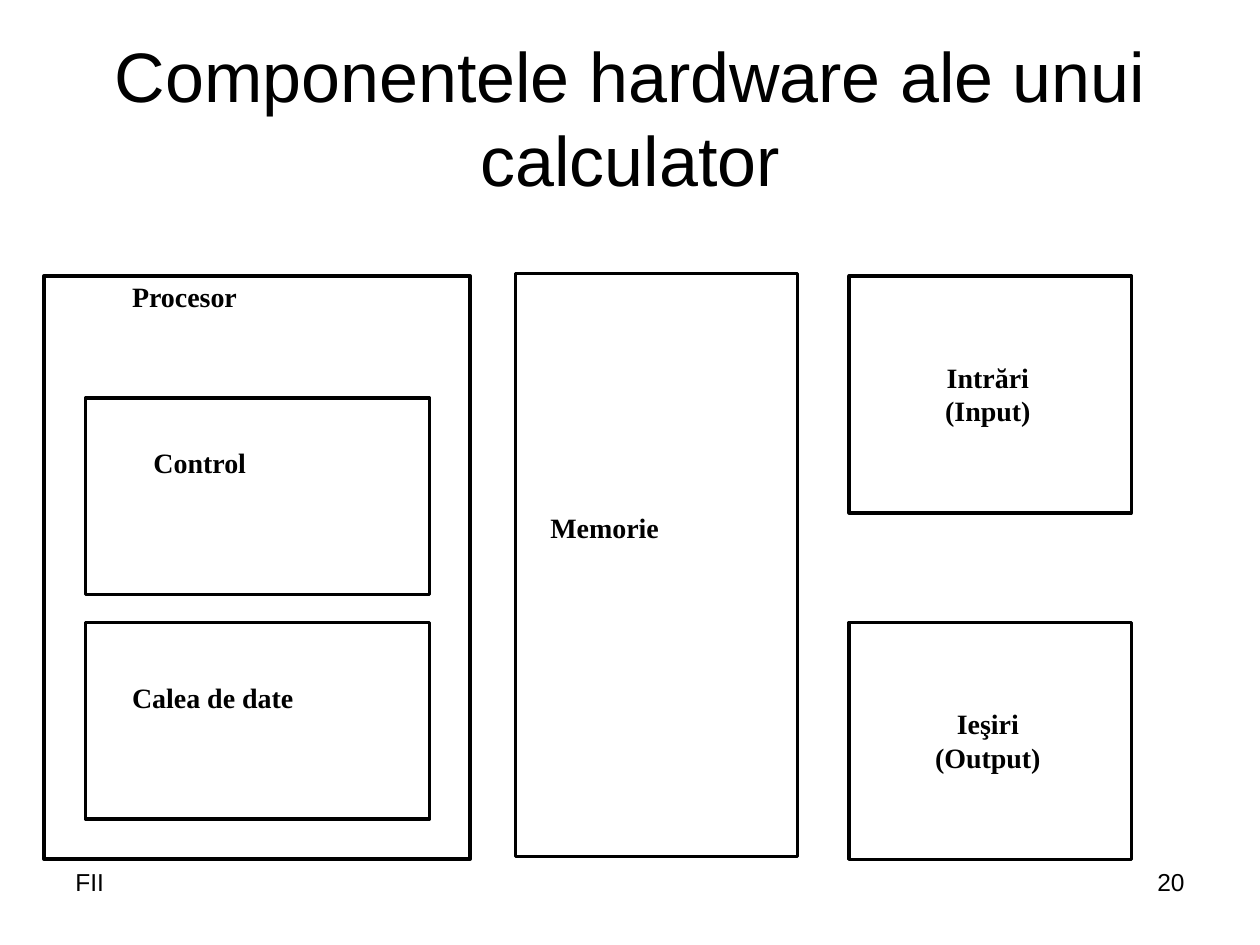
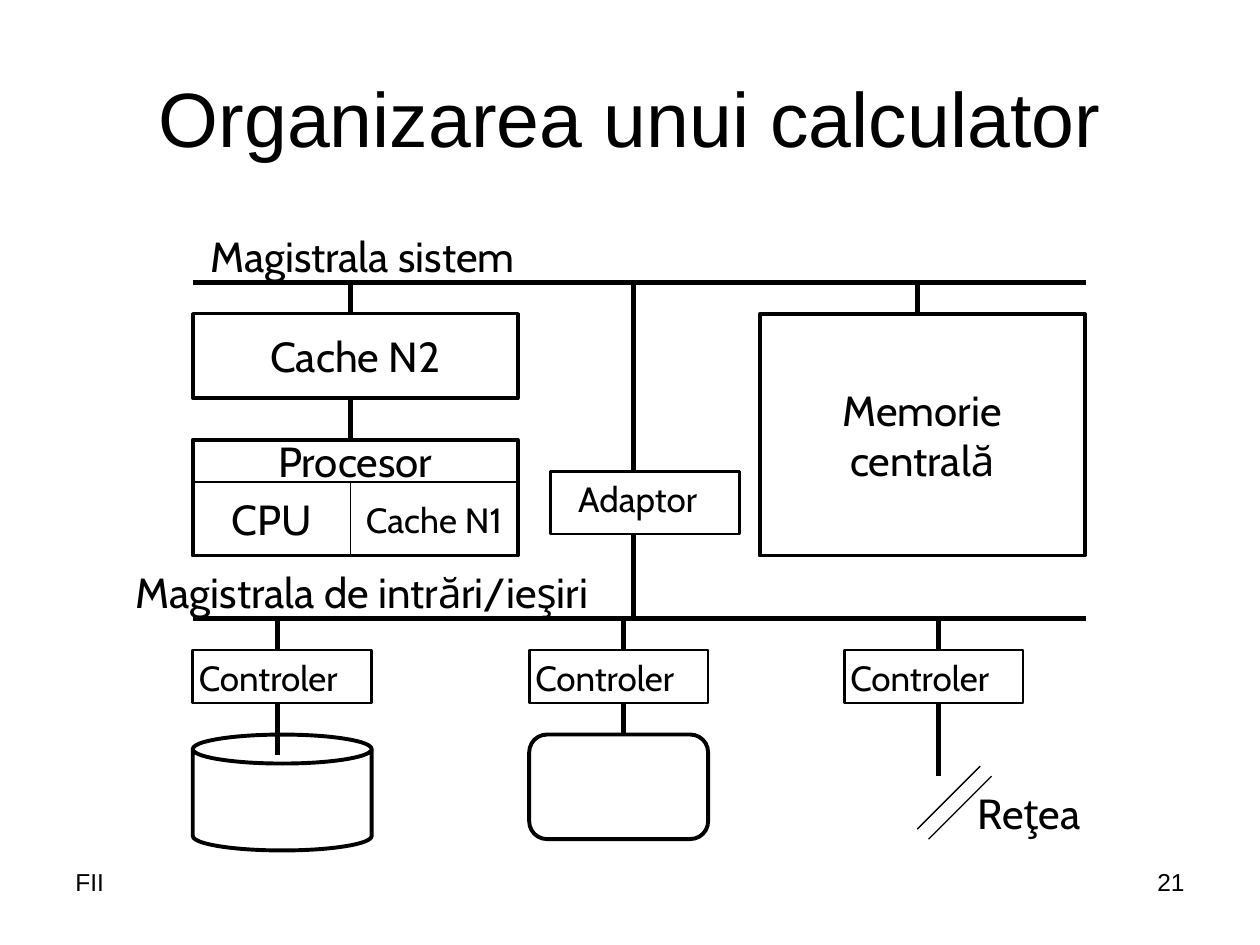
from dataclasses import dataclass

import pptx
import pptx.dml.color
import pptx.enum.shapes
import pptx.enum.text
import pptx.oxml.ns
import pptx.presentation
import pptx.shapes.autoshape
import pptx.slide
import pptx.util
from lxml import etree
from pptx.util import Inches

INK = "000000"
PAPER = "FFFFFF"
TITLE_FONT = "Arial"
COMPONENT_FONT = "Times New Roman"
DIAGRAM_FONT = "Cabin"

ALIGN = pptx.enum.text.PP_ALIGN
ANCHOR = pptx.enum.text.MSO_ANCHOR
SHAPE = pptx.enum.shapes.MSO_SHAPE

FRAME_WIDTH = 2.0
BUS_WIDTH = 3.0
DRUM_WIDTH = 2.25
CONTROLLER_WIDTH = 1.5
THIN_WIDTH = 0.75


@dataclass(frozen=True)
class TextStyle:
    font: str
    size: float
    bold: bool = False
    align: ALIGN = ALIGN.LEFT
    anchor: ANCHOR = ANCHOR.TOP
    wrap: bool = False


@dataclass(frozen=True)
class Area:
    left: float
    top: float
    width: float
    height: float

    def lengths(self) -> list[pptx.util.Length]:
        return [Inches(value) for value in (self.left, self.top, self.width, self.height)]


@dataclass(frozen=True)
class Box:
    area: Area
    line_width: float = FRAME_WIDTH
    text: str = ""
    size: float = 24
    kind: SHAPE = SHAPE.RECTANGLE


@dataclass(frozen=True)
class Label:
    text: str
    area: Area
    style: TextStyle


@dataclass(frozen=True)
class Line:
    x1: float
    y1: float
    x2: float
    y2: float
    width: float = BUS_WIDTH


FOOTER = TextStyle(TITLE_FONT, 14, wrap=True)
PAGE_NUMBER = TextStyle(TITLE_FONT, 14, align=ALIGN.RIGHT, wrap=True)
COMPONENT = TextStyle(COMPONENT_FONT, 16, bold=True)
COMPONENT_CENTRED = TextStyle(COMPONENT_FONT, 16, bold=True, align=ALIGN.CENTER)
DIAGRAM = TextStyle(DIAGRAM_FONT, 24)
DIAGRAM_SMALL = TextStyle(DIAGRAM_FONT, 20)


def rgb(colour: str) -> pptx.dml.color.RGBColor:
    return pptx.dml.color.RGBColor.from_string(colour)


def write_text(shape: pptx.shapes.autoshape.Shape, text: str, style: TextStyle) -> None:
    frame = shape.text_frame
    frame.text = text
    frame.word_wrap = style.wrap
    frame.vertical_anchor = style.anchor
    for paragraph in frame.paragraphs:
        paragraph.alignment = style.align
        for run in paragraph.runs:
            run.font.name = style.font
            run.font.size = pptx.util.Pt(style.size)
            run.font.bold = style.bold
            run.font.color.rgb = rgb(INK)


def add_label(slide: pptx.slide.Slide, label: Label) -> None:
    shape = slide.shapes.add_textbox(*label.area.lengths())
    write_text(shape, label.text, label.style)
    if not label.style.wrap:
        shape.text_frame.auto_size = pptx.enum.text.MSO_AUTO_SIZE.SHAPE_TO_FIT_TEXT


def add_box(slide: pptx.slide.Slide, box: Box) -> pptx.shapes.autoshape.Shape:
    shape = slide.shapes.add_shape(box.kind, *box.area.lengths())
    shape.shadow.inherit = False
    shape.fill.background()
    shape.line.color.rgb = rgb(INK)
    shape.line.width = pptx.util.Pt(box.line_width)
    if box.text:
        style = TextStyle(DIAGRAM_FONT, box.size, align=ALIGN.CENTER, anchor=ANCHOR.MIDDLE)
        write_text(shape, box.text, style)
    return shape


def add_line(slide: pptx.slide.Slide, line: Line) -> None:
    ends = [Inches(value) for value in (line.x1, line.y1, line.x2, line.y2)]
    connector = slide.shapes.add_connector(pptx.enum.shapes.MSO_CONNECTOR.STRAIGHT, *ends)
    connector.line.color.rgb = rgb(INK)
    connector.line.width = pptx.util.Pt(line.width)
    properties = connector._element.find(pptx.oxml.ns.qn("p:spPr"))
    etree.SubElement(properties, pptx.oxml.ns.qn("a:effectLst"))


def add_titled_slide(
    presentation: pptx.presentation.Presentation, title: str, title_size: float, number: int
) -> pptx.slide.Slide:
    slide = presentation.slides.add_slide(presentation.slide_layouts[6])
    slide.background.fill.solid()
    slide.background.fill.fore_color.rgb = rgb(PAPER)
    title_style = TextStyle(
        TITLE_FONT, title_size, align=ALIGN.CENTER, anchor=ANCHOR.MIDDLE, wrap=True
    )
    add_label(slide, Label("FII", Area(0.5, 6.83, 2.33, 0.52), FOOTER))
    add_label(slide, Label(str(number), Area(7.17, 6.83, 2.33, 0.52), PAGE_NUMBER))
    add_label(slide, Label(title, Area(0.5, 0.3, 9, 1.25), title_style))
    return slide


def build_components_slide(presentation: pptx.presentation.Presentation) -> None:
    slide = add_titled_slide(presentation, "Componentele hardware ale unui calculator", 40, 20)

    processor = Area(0.35, 2.19, 3.38, 4.63)
    memory = Area(4.09, 2.17, 2.24, 4.63)
    processor_parts = [Area(0.68, top, 2.73, 1.56) for top in (3.16, 4.94)]
    ports = [Area(6.74, top, 2.24, 1.88) for top in (2.19, 4.94)]
    for area in (processor, memory, *processor_parts, *ports):
        add_box(slide, Box(area))

    for text, left, top, width in (
        ("Procesor", 0.95, 2.17, 1.04),
        ("Control", 1.12, 3.49, 0.94),
        ("Calea de date", 0.95, 5.35, 1.48),
        ("Memorie", 4.27, 4, 1.06),
    ):
        add_label(slide, Label(text, Area(left, top, width, 0.36), COMPONENT))
    for text, port in zip(("Intrări (Input)", "Ieşiri (Output)"), ports):
        area = Area(port.left + 0.31, port.top + 0.62, 1.58, 0.36)
        add_label(slide, Label(text, area, COMPONENT_CENTRED))


def build_organisation_slide(presentation: pptx.presentation.Presentation) -> None:
    slide = add_titled_slide(presentation, "Organizarea unui calculator", 44, 21)

    left, right = 1.53, 8.62
    system_bus, io_bus = 2.24, 4.91
    block_top, block_width = 2.49, 2.58
    processor_top, core_top, core_height = 3.49, 3.83, 0.58
    cache_bottom = 3.16
    processor_axis, adaptor_axis, memory_axis = 2.78, 5.03, 7.28
    adaptor = Area(4.37, 3.74, 1.5, 0.5)
    controller_top, controller_bottom, controller_width = 5.16, 5.58, 1.42
    device_top = 5.83
    disk_left, screen_left, network_left = left, 4.2, 6.7
    disk_axis, screen_axis, network_axis = 2.2, 4.95, 7.45

    for box in (
        Box(Area(6.03, block_top, block_width, 1.92), text="Memorie\ncentrală"),
        Box(Area(left, block_top, block_width, 0.67), text="Cache N2"),
        Box(Area(left, processor_top, block_width, 0.92)),
        Box(Area(left, processor_top, block_width, 0.33), THIN_WIDTH, "Procesor"),
        Box(Area(left, core_top, 1.25, core_height), THIN_WIDTH, "CPU"),
        Box(Area(processor_axis, core_top, 1.33, core_height), THIN_WIDTH, "Cache N1", 20),
        Box(adaptor, CONTROLLER_WIDTH),
        Box(Area(disk_left, device_top, controller_width, 0.92), DRUM_WIDTH, kind=SHAPE.CAN),
    ):
        add_box(slide, box)
    screen = Box(
        Area(screen_left, device_top, controller_width, 0.83),
        DRUM_WIDTH,
        kind=SHAPE.ROUNDED_RECTANGLE,
    )
    add_box(slide, screen).adjustments[0] = 0.17

    for controller_left, axis, line_end in (
        (disk_left, disk_axis, 5.99),
        (screen_left, screen_axis, device_top),
        (network_left, network_axis, 6.16),
    ):
        area = Area(controller_left, controller_top, controller_width, 0.42)
        add_box(slide, Box(area, CONTROLLER_WIDTH))
        text_area = Area(controller_left - 0.05, controller_top, 1.44, 0.44)
        add_label(slide, Label("Controler", text_area, DIAGRAM_SMALL))
        add_line(slide, Line(axis, io_bus, axis, controller_top))
        add_line(slide, Line(axis, controller_bottom, axis, line_end))

    for line in (
        Line(left, system_bus, right, system_bus),
        Line(left, io_bus, right, io_bus),
        Line(processor_axis, system_bus, processor_axis, block_top),
        Line(processor_axis, cache_bottom, processor_axis, processor_top),
        Line(memory_axis, system_bus, memory_axis, block_top),
        Line(adaptor_axis, system_bus, adaptor_axis, adaptor.top),
        Line(adaptor_axis, adaptor.top + adaptor.height, adaptor_axis, io_bus),
        Line(left, core_top, left + block_width, core_top, THIN_WIDTH),
        Line(7.28, 6.58, 7.78, 6.08, THIN_WIDTH),
        Line(7.37, 6.66, 7.87, 6.16, THIN_WIDTH),
    ):
        add_line(slide, line)

    for label in (
        Label("Magistrala sistem", Area(1.57, 1.78, 2.97, 0.5), DIAGRAM),
        Label("Magistrala de intrări/ieşiri", Area(0.98, 4.45, 4.25, 0.5), DIAGRAM),
        Label("Adaptor", Area(4.49, adaptor.top, 1.26, 0.44), DIAGRAM_SMALL),
        Label("Reţea", Area(7.66, 6.2, 1.09, 0.5), DIAGRAM),
    ):
        add_label(slide, label)


def main() -> None:
    presentation = pptx.Presentation()
    presentation.slide_width = Inches(10)
    presentation.slide_height = Inches(7.5)
    build_components_slide(presentation)
    build_organisation_slide(presentation)
    presentation.save("out.pptx")


if __name__ == "__main__":
    main()
